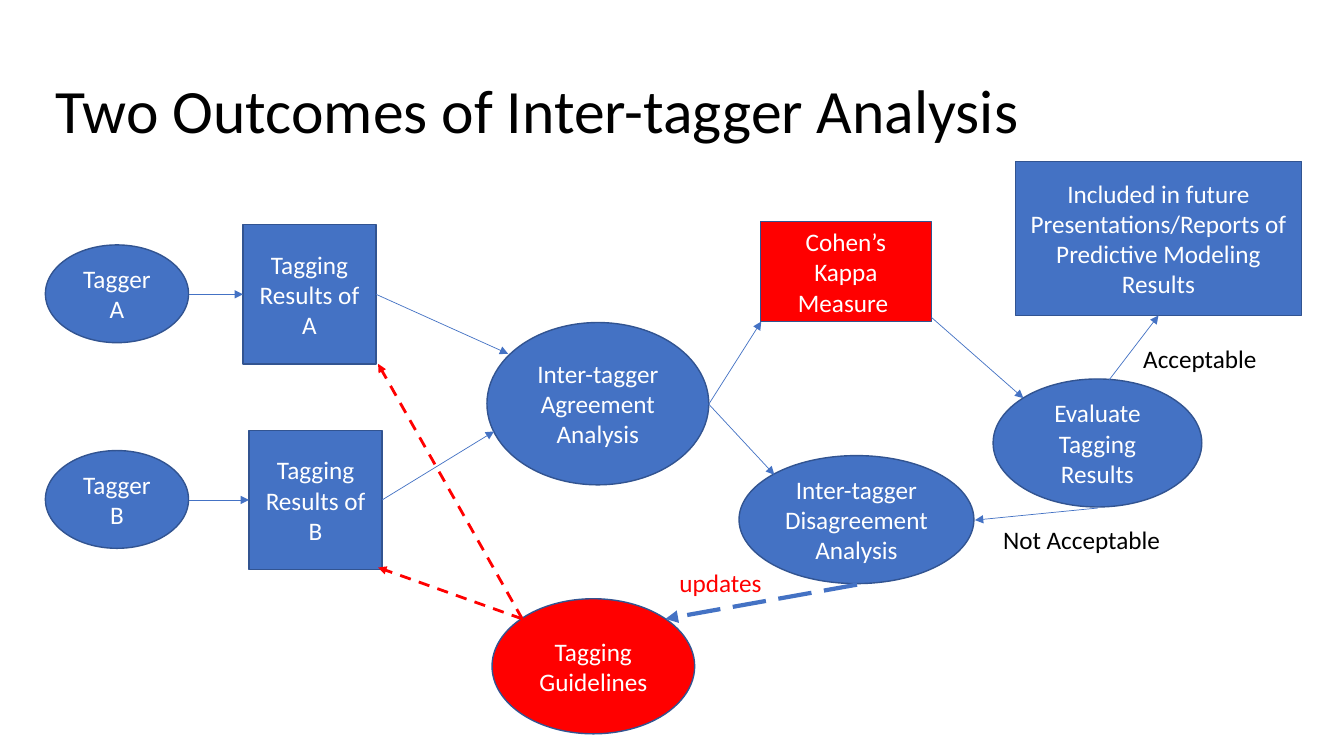
from pptx import Presentation
from pptx.dml.color import RGBColor
from pptx.enum.dml import MSO_LINE
from pptx.enum.shapes import MSO_CONNECTOR, MSO_SHAPE
from pptx.enum.text import MSO_ANCHOR, MSO_AUTO_SIZE, PP_ALIGN
from pptx.oxml.ns import qn
from pptx.util import Inches, Pt
from lxml.etree import SubElement

BLUE, OUTLINE, RED = "4472C4", "325491", "FF0000"
WHITE, BLACK = "FFFFFF", "000000"


def color(value):
    return RGBColor.from_string(value)


def write(box, text, size, ink, align):
    frame = box.text_frame
    frame.word_wrap = True
    frame.auto_size = MSO_AUTO_SIZE.NONE
    frame.text = text
    for para in frame.paragraphs:
        para.alignment = align
        for span in para.runs:
            span.font.name = "Calibri"
            span.font.size = Pt(size)
            span.font.color.rgb = color(ink)


deck = Presentation()
deck.slide_width, deck.slide_height = Inches(13.33), Inches(7.5)
page = deck.slides.add_slide(deck.slide_layouts[5])

# Title
title = page.shapes.title
title.left, title.top = Inches(0.45), Inches(0.4)
title.width, title.height = Inches(12.37), Inches(1.45)
write(title, "Two Outcomes of Inter-tagger Analysis", 44, BLACK, PP_ALIGN.LEFT)
title.text_frame.vertical_anchor = MSO_ANCHOR.MIDDLE
title.text_frame.paragraphs[0].line_spacing = 0.9

# Process steps: key, shape, left, top, width, height, fill, text
OVAL, RECT = MSO_SHAPE.OVAL, MSO_SHAPE.RECTANGLE
steps = [
    ("tagger A", OVAL, 0.45, 2.43, 1.42, 0.97, BLUE, "Tagger\nA"),
    ("tagger B", OVAL, 0.45, 4.47, 1.42, 0.97, BLUE, "Tagger\nB"),
    ("results A", RECT, 2.41, 2.23, 1.32, 1.38, BLUE, "Tagging\nResults of\nA"),
    ("results B", RECT, 2.47, 4.27, 1.32, 1.38, BLUE, "Tagging\nResults of\nB"),
    ("guidelines", OVAL, 4.88, 5.94, 2.01, 1.34, RED, "Tagging\nGuidelines"),
    ("agreement", OVAL, 4.83, 3.2, 2.2, 1.61, BLUE,
     "Inter-tagger\nAgreement\nAnalysis"),
    ("disagreement", OVAL, 7.33, 4.52, 2.33, 1.27, BLUE,
     "Inter-tagger\nDisagreement\nAnalysis"),
    ("kappa", RECT, 7.54, 2.2, 1.7, 0.99, RED, "Cohen’s\nKappa\nMeasure "),
    ("reports", RECT, 10.07, 1.6, 2.84, 1.53, BLUE,
     "Included in future Presentations/Reports of\nPredictive Modeling Results"),
    ("evaluate", OVAL, 9.85, 3.76, 2.07, 1.27, BLUE, "Evaluate\nTagging Results"),
]
boxes = {}
for key, kind, left, top, width, height, fill, text in steps:
    box = page.shapes.add_shape(kind, Inches(left), Inches(top),
                                Inches(width), Inches(height))
    box.shadow.inherit = False
    box.fill.solid()
    box.fill.fore_color.rgb = color(fill)
    box.line.color.rgb = color(OUTLINE)
    box.line.width = Pt(1)
    write(box, text, 18, WHITE, PP_ALIGN.CENTER)
    box.text_frame.vertical_anchor = MSO_ANCHOR.MIDDLE
    boxes[key] = box

# Arrows: start, end, joined start, joined end (step key and side), style
TOP, LEFT, BOTTOM, RIGHT = range(4)
thin = (BLUE, 0.5, None)
feedback = (RED, 2, MSO_LINE.DASH)
update = (BLUE, 3, MSO_LINE.LONG_DASH)
arrows = [
    ((1.87, 2.92), (2.41, 2.92), None, ("results A", LEFT), thin),
    ((1.87, 4.96), (2.47, 4.96), None, ("results B", LEFT), thin),
    ((3.73, 2.92), (5.04, 3.51), ("results A", RIGHT), None, thin),
    ((3.79, 4.96), (4.9, 4.28), ("results B", RIGHT), None, thin),
    ((7.03, 4.01), (7.55, 3.19), None, None, thin),
    ((7.03, 4.01), (7.68, 4.71), None, None, thin),
    ((9.24, 3.15), (10.15, 3.95), None, None, thin),
    ((11, 3.77), (11.49, 3.13), None, ("reports", BOTTOM), thin),
    ((10.89, 5.04), (9.67, 5.16), None, None, thin),
    ((8.5, 5.8), (6.6, 6.14), None, None, update),
    ((5.18, 6.14), (3.75, 5.63), None, None, feedback),
    ((5.18, 6.14), (3.75, 3.61), None, None, feedback),
]
for start, end, source, target, (ink, weight, dash) in arrows:
    arrow = page.shapes.add_connector(
        MSO_CONNECTOR.STRAIGHT, *[Inches(value) for value in start + end])
    if source:
        arrow.begin_connect(boxes[source[0]], source[1])
    if target:
        arrow.end_connect(boxes[target[0]], target[1])
    arrow.line.color.rgb = color(ink)
    arrow.line.width = Pt(weight)
    if dash:
        arrow.line.dash_style = dash
    outline = arrow._element.spPr.get_or_add_ln()
    SubElement(outline, qn("a:tailEnd"), type="triangle")
    SubElement(arrow._element.spPr, qn("a:effectLst"))

# Arrow labels
labels = [
    ("updates", 6.64, 5.58, 1.14, RED),
    ("Acceptable", 11.24, 3.36, 1.37, BLACK),
    ("Not Acceptable", 9.85, 5.15, 1.77, BLACK),
]
for text, left, top, width, ink in labels:
    label = page.shapes.add_textbox(Inches(left), Inches(top),
                                    Inches(width), Inches(0.4))
    write(label, text, 18, ink, PP_ALIGN.LEFT)

deck.save("out.pptx")
